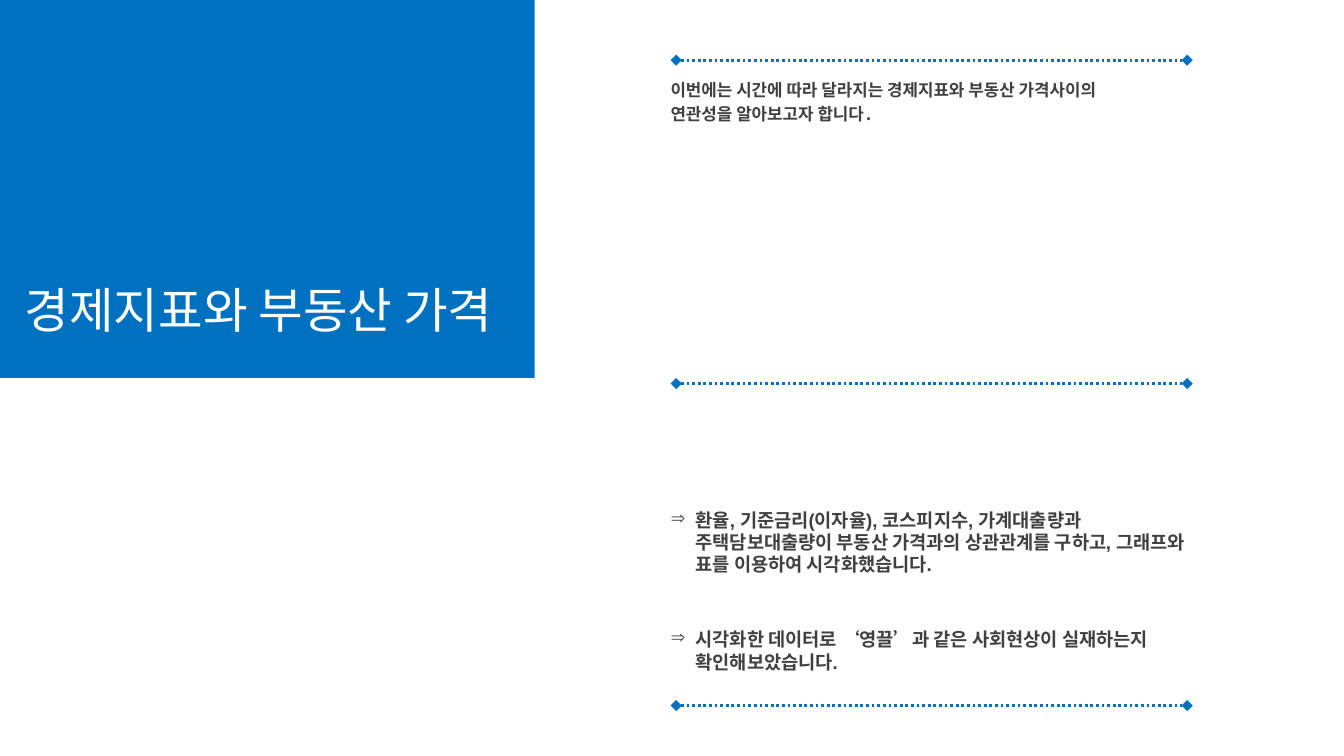
from dataclasses import dataclass

from lxml import etree
from pptx import Presentation
from pptx.dml.color import RGBColor
from pptx.enum.dml import MSO_LINE
from pptx.enum.shapes import MSO_CONNECTOR, MSO_SHAPE
from pptx.enum.text import MSO_ANCHOR, MSO_AUTO_SIZE, PP_ALIGN
from pptx.oxml.ns import qn
from pptx.util import Emu, Pt

PX = 9525
RECT = MSO_SHAPE.RECTANGLE
STRAIGHT = MSO_CONNECTOR.STRAIGHT
DOTTED = MSO_LINE.ROUND_DOT
TOP = MSO_ANCHOR.TOP
MIDDLE = MSO_ANCHOR.MIDDLE
CENTER = PP_ALIGN.CENTER
FIXED = MSO_AUTO_SIZE.NONE


@dataclass(frozen=True)
class Theme:
    """Colours, fonts and type sizes."""
    blue: RGBColor = RGBColor(0x00, 0x70, 0xC0)
    white: RGBColor = RGBColor(0xFF, 0xFF, 0xFF)
    ink: RGBColor = RGBColor(0x40, 0x40, 0x40)
    mono: str = "Noto Sans Mono"
    sans: str = "Arial"
    title: int = 26
    intro: int = 9
    body: int = 10
    rule: float = 1.5


THEME = Theme()
TITLE = "경제지표와 부동산 가격"
INTRO = [
    ("이번에는 시간에 따라 달라지는 경제지표와 부동산 가격사이의", 0),
    ("연관성을 알아보고자 합니다.", 2),
]
POINTS = [
    ("환율, 기준금리(이자율), 코스피지수, 가계대출량과 주택담보대출량이 "
     "부동산 가격과의 상관관계를 구하고, 그래프와 표를 이용하여 시각화했습니다.", 206),
    ("시각화한 데이터로 ‘영끌’과 같은 사회현상이 실재하는지 확인해보았습니다.", 28),
]


def px(*nums):
    """Turn px lengths into EMU."""
    return [Emu(num * PX) for num in nums]


def style(para, size, face, color, bold=False):
    """Format every run of a paragraph."""
    for run in para.runs:
        font = run.font
        font.size, font.name, font.bold = Pt(size), face, bold
        font.color.rgb = color


def set_frame(frame, anchor, top=5):
    """Set wrapping, anchor and insets of a text frame."""
    frame.word_wrap = True
    frame.auto_size = FIXED
    frame.vertical_anchor = anchor
    (frame.margin_left, frame.margin_top,
     frame.margin_right, frame.margin_bottom) = px(5, top, 5, 5)


def add_panel(slide, *box):
    """Add a plain blue panel behind the title."""
    panel = slide.shapes.add_shape(RECT, *px(*box))
    panel.shadow.inherit = False
    panel.fill.solid()
    panel.fill.fore_color.rgb = THEME.blue
    panel.line.fill.background()
    slide.shapes.title.element.addprevious(panel.element)


def set_title(slide, text, *box):
    """Place and format the title."""
    title = slide.shapes.title
    title.left, title.top, title.width, title.height = px(*box)
    frame = title.text_frame
    frame.text = text
    set_frame(frame, MIDDLE)
    para = frame.paragraphs[0]
    para.alignment = CENTER
    style(para, THEME.title, THEME.mono, THEME.white)


def add_rule(slide, left, right, y):
    """Add a dotted rule with a diamond at each end."""
    rule = slide.shapes.add_connector(STRAIGHT, *px(left, y, right, y))
    line = rule.line
    line.color.rgb = THEME.blue
    line.width = Pt(THEME.rule)
    line.dash_style = DOTTED
    props = rule.element.spPr
    for end in ("a:headEnd", "a:tailEnd"):
        etree.SubElement(props.find(qn("a:ln")), qn(end), type="diamond")
    etree.SubElement(props, qn("a:effectLst"))


def add_bullet(para, indent):
    """Give a paragraph an arrow bullet and a hanging indent."""
    props = para._p.get_or_add_pPr()
    props.set("marL", str(indent * PX))
    props.set("indent", str(-indent * PX))
    etree.SubElement(props, qn("a:buChar"), char="⇒")


def add_body(slide, *box):
    """Add the introduction and the bulleted points."""
    frame = slide.shapes.add_textbox(*px(*box)).text_frame
    set_frame(frame, TOP, 29)
    frame.text = "\n".join(text for text, _ in INTRO + POINTS)
    for para, (_, gap) in zip(frame.paragraphs, INTRO + POINTS):
        if gap:
            para.space_before = Pt(gap)
    split = len(INTRO)
    for para in frame.paragraphs[:split]:
        style(para, THEME.intro, THEME.mono, THEME.ink, True)
    for para in frame.paragraphs[split:]:
        add_bullet(para, 18)
        style(para, THEME.body, THEME.sans, THEME.ink, True)


def main():
    """Build the slide and save it."""
    deck = Presentation()
    deck.slide_width, deck.slide_height = px(960, 540)
    slide = deck.slides.add_slide(deck.slide_layouts[5])
    add_panel(slide, 0, 0, 382, 270)
    set_title(slide, TITLE, -15, 195, 400, 52)
    for y in (43, 274, 504):
        add_rule(slide, 483, 848, y)
    add_body(slide, 474, 28, 393, 510)
    deck.save("out.pptx")


if __name__ == "__main__":
    main()
